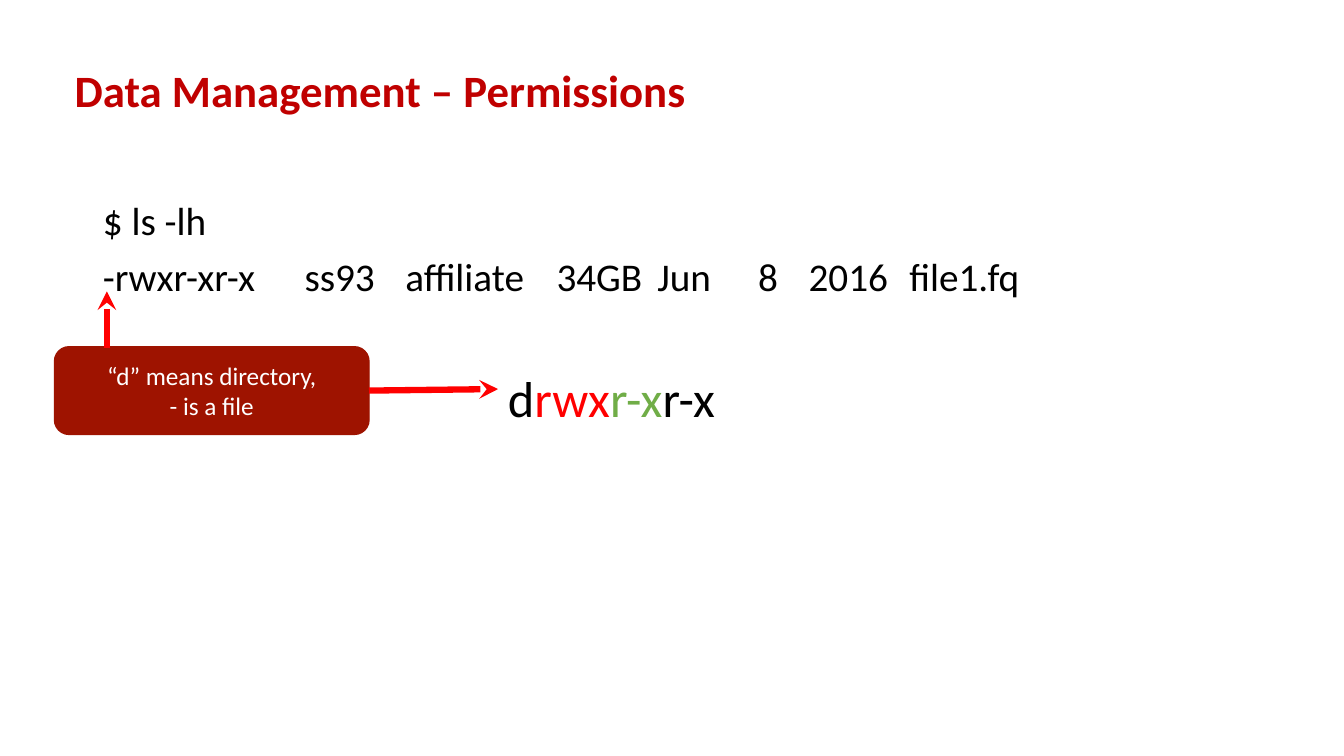
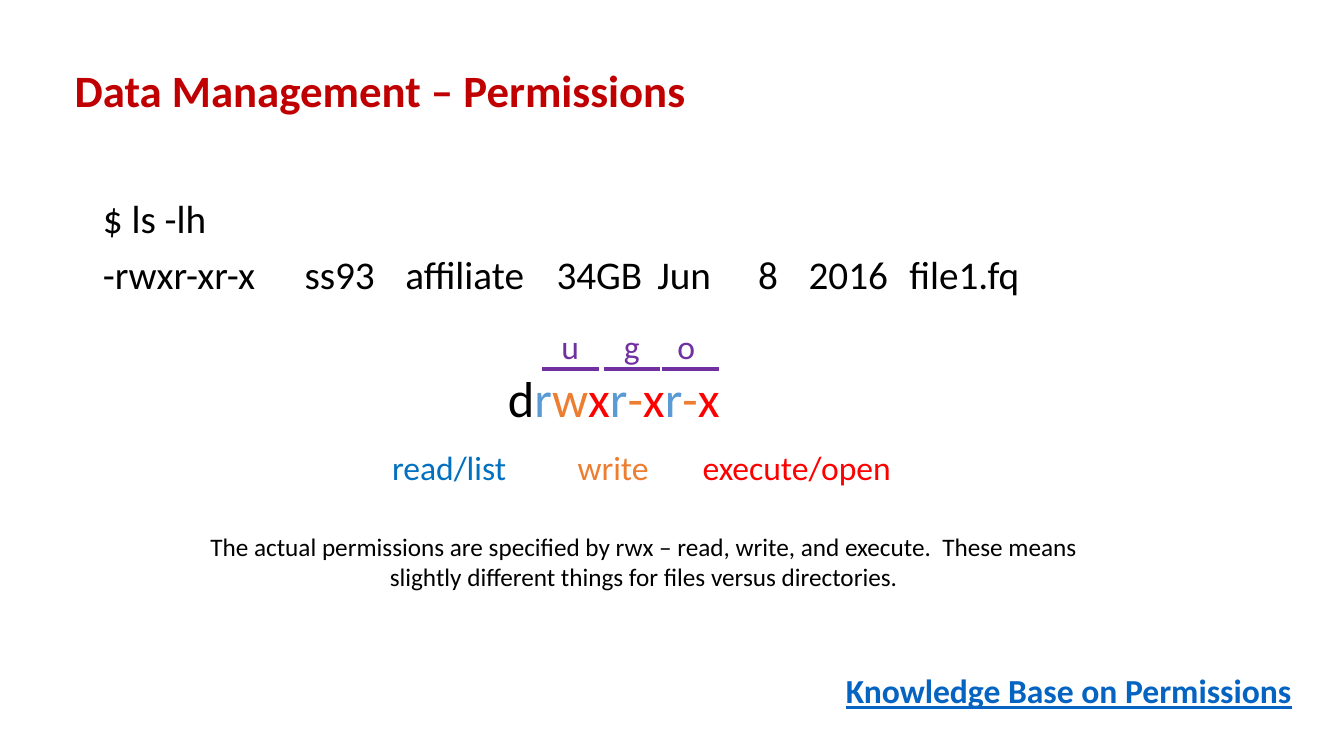
from pptx import Presentation
from pptx.dml.color import RGBColor
from pptx.enum import shapes, text
from pptx.oxml.ns import qn
from pptx.util import Inches, Pt
from lxml import etree

# Content
TITLE = "Data Management – Permissions"
LISTING = ["$ ls -lh", "-rwxr-xr-x\tss93\taffiliate\t34GB\tJun\t8\t2016\tfile1.fq"]
TAB_STOPS = [2, 3, 5, 6, 7, 8, 9]
CALLOUT = ["“d” means directory,", "- is a file"]
MODE_BY_CLASS = [("d", "black"), ("rwx", "red"), ("r-x", "green"), ("r-x", "black")]
MODE_BY_RIGHT = [("d", "black")] + [
    (letter, colour)
    for group in ("rwx", "r-x", "r-x")
    for letter, colour in zip(group, ("sky", "orange", "red"))
]
# text, colour, left, width
RIGHTS = [
    ("read/list", "blue", 3.79, 1.35),
    ("write", "orange", 5.63, 0.91),
    ("execute/open", "red", 6.87, 2.09),
]
# text, label left, label width, bar left
CLASSES = [("u", 5.47, 0.38, 5.38), ("g", 6.09, 0.36, 5.99), ("o", 6.62, 0.25, 6.57)]
BAR_WIDTH, BAR_TOP = 0.56, 3.66
NOTE = ("The actual permissions are specified by rwx – read, write, and execute.  "
        "These means slightly different things for files versus directories.")
LINK = "Knowledge Base on Permissions"

# Shared style
FONT = "Calibri"
COLOURS = {
    "title": "C00000", "black": "000000", "white": "FFFFFF", "red": "FF0000",
    "green": "70AD47", "sky": "5B9BD5", "orange": "ED7D31", "blue": "0070C0",
    "purple": "7030A0", "link": "0563C1", "callout": "9E1300",
}


def rgb(name):
    return RGBColor.from_string(COLOURS[name])


def place(item, left, top, width, height):
    item.left, item.top = Inches(left), Inches(top)
    item.width, item.height = Inches(width), Inches(height)


def style(para, size, colour, bold=False, underline=False, align=text.PP_ALIGN.LEFT):
    para.alignment = align
    for span in para.runs:
        font = span.font
        font.name, font.size, font.bold, font.underline = FONT, Pt(size), bold, underline
        font.color.rgb = rgb(colour)


def add_text(page, content, at, size, colour, wrap=True, **options):
    box = page.shapes.add_textbox(*map(Inches, at))
    box.text_frame.word_wrap = wrap
    box.text_frame.text = content
    style(box.text_frame.paragraphs[0], size, colour, **options)


def add_mode(page, parts):
    box = page.shapes.add_textbox(*map(Inches, (4.94, 3.59, 2.4, 0.7)))
    box.text_frame.word_wrap = True
    para = box.text_frame.paragraphs[0]
    for letters, colour in parts:
        span = para.add_run()
        span.text = letters
        span.font.name, span.font.size = FONT, Pt(36)
        span.font.color.rgb = rgb(colour)


def add_line(page, start, end, colour, width, arrow=False):
    line = page.shapes.add_connector(
        shapes.MSO_CONNECTOR.STRAIGHT, *map(Inches, start + end))
    line.line.color.rgb = rgb(colour)
    line.line.width = Pt(width)
    if arrow:
        etree.SubElement(line.line._get_or_add_ln(), qn("a:tailEnd"), type="stealth")
    etree.SubElement(line._element.spPr, qn("a:effectLst"))
    return line


def format_listing(para):
    style(para, 28, "black")
    para.line_spacing, para.space_before = 0.9, Pt(10)
    properties = para._p.get_or_add_pPr()
    properties.set("marL", "0")
    properties.set("indent", "0")
    etree.SubElement(properties, qn("a:buNone"))
    tabs = etree.SubElement(properties, qn("a:tabLst"))
    for stop in TAB_STOPS:
        etree.SubElement(tabs, qn("a:tab"), pos=str(Inches(stop)), algn="l")


def add_page(deck, listing_top):
    page = deck.slides.add_slide(deck.slide_layouts[1])
    title, body = page.placeholders
    place(title, 0.64, 0.2, 11.5, 1.45)
    title.text_frame.text = TITLE
    title.text_frame.vertical_anchor = text.MSO_ANCHOR.MIDDLE
    title.text_frame.paragraphs[0].line_spacing = 0.9
    style(title.text_frame.paragraphs[0], 32, "title", bold=True)

    place(body, 0.92, listing_top, 11.5, 1.2)
    body.text_frame.text = "\n".join(LISTING)
    body.text_frame.auto_size = text.MSO_AUTO_SIZE.NONE
    for para in body.text_frame.paragraphs:
        format_listing(para)
    return page


def build_file_type(deck):
    page = add_page(deck, 1.95)
    add_mode(page, MODE_BY_CLASS)

    # Callout and its arrows
    callout = page.shapes.add_shape(
        shapes.MSO_SHAPE.ROUNDED_RECTANGLE, *map(Inches, (0.54, 3.44, 3.12, 0.87)))
    callout.shadow.inherit = False
    callout.fill.solid()
    callout.fill.fore_color.rgb = callout.line.color.rgb = rgb("callout")
    callout.line.width = Pt(1)
    callout.text_frame.text = "\n".join(CALLOUT)
    callout.text_frame.vertical_anchor = text.MSO_ANCHOR.MIDDLE
    for para in callout.text_frame.paragraphs:
        style(para, 18, "white", align=text.PP_ALIGN.CENTER)
    add_line(page, (1.06, 3.45), (1.06, 2.89), "red", 4.5, arrow=True)
    to_mode = add_line(page, (3.66, 3.87), (4.94, 3.86), "red", 4.5, arrow=True)
    to_mode.begin_connect(callout, 3)


def build_rights(deck):
    page = add_page(deck, 1.93)
    add_mode(page, MODE_BY_RIGHT)

    # User, group and other above the mode
    for label, left, width, bar_left in CLASSES:
        add_text(page, label, (left, 3.18, width, 0.5), 24, "purple", wrap=False)
        add_line(page, (bar_left, BAR_TOP), (bar_left + BAR_WIDTH, BAR_TOP), "purple", 3.25)

    # Meaning of each letter
    for label, colour, left, width in RIGHTS:
        add_text(page, label, (left, 4.38, width, 0.5), 24, colour, wrap=False)

    add_text(page, NOTE, (1.85, 5.22, 9.07, 0.71), 18, "black", align=text.PP_ALIGN.CENTER)
    add_text(page, LINK, (8.29, 6.6, 4.72, 0.5), 24, "link", bold=True, underline=True)


def main():
    deck = Presentation()
    deck.slide_width, deck.slide_height = Inches(13.33), Inches(7.5)
    build_file_type(deck)
    build_rights(deck)
    deck.save("out.pptx")


if __name__ == "__main__":
    main()
